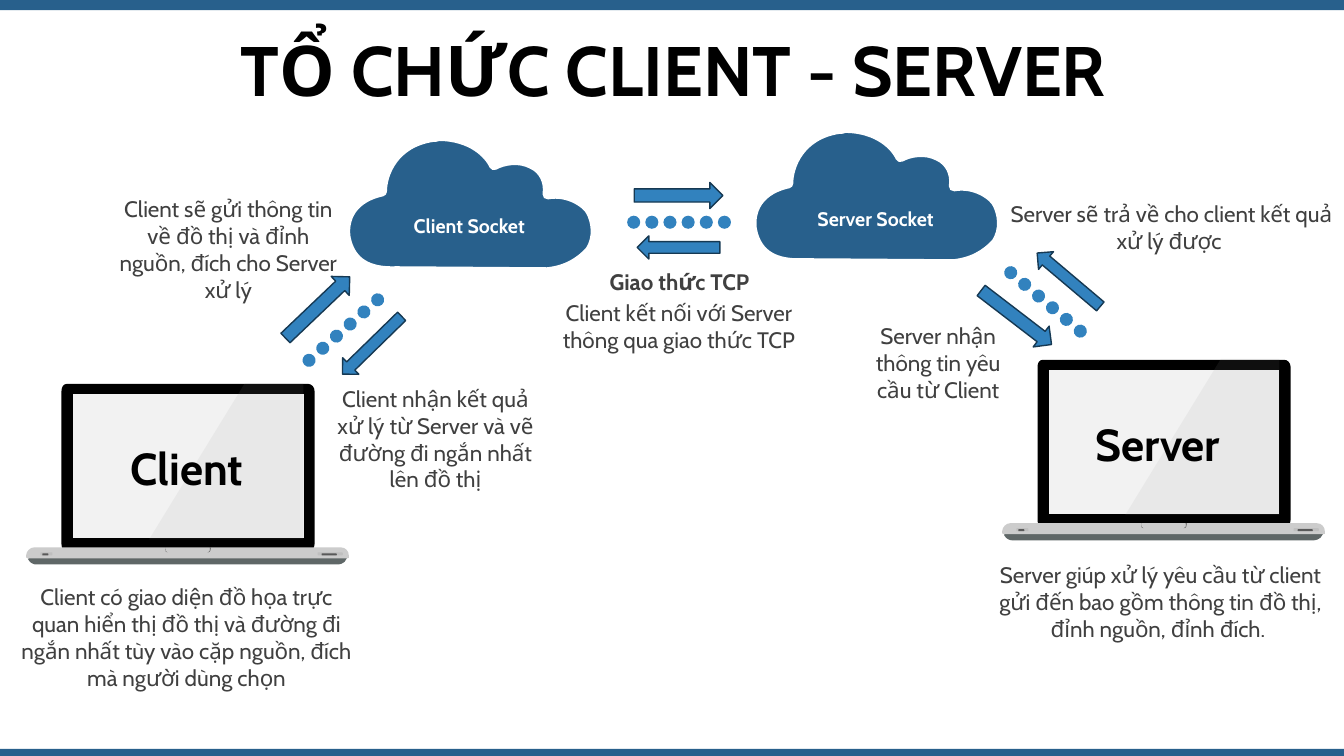
from lxml import etree
from pptx import Presentation
from pptx.dml.color import RGBColor
from pptx.enum.shapes import MSO_SHAPE as Preset
from pptx.enum.text import MSO_ANCHOR as Anchor, MSO_AUTO_SIZE as AutoSize, PP_ALIGN as Align
from pptx.oxml.ns import qn
from pptx.util import Inches, Pt

COLORS = {
    "band": "28608C", "accent": "3282BE", "edge": "163953",
    "white": "FFFFFF", "black": "000000", "text": "404040",
    "screen": "F2F2F2", "glare": "999999", "base": "CCCCCC", "underside": "5F6767",
    "notch": "4D4D4D", "port": "BFBFBF", "slot": "595959",
}
FONT = "Cabin"

presentation = Presentation()
presentation.slide_width = Inches(13.33)
presentation.slide_height = Inches(7.5)
slide = presentation.slides.add_slide(presentation.slide_layouts[6])


def add_part(form, place, fill, line=None, width=1):
    """Draw a preset at a box, or, if form is a list of contours, an outline shifted by place.

    A segment of two numbers is a straight line, one of six a cubic curve.
    """
    if isinstance(form, list):
        contours = [[[Inches(number + place[index % 2]) for index, number in enumerate(segment)]
                     for segment in contour] for contour in form]
        builder = slide.shapes.build_freeform(*contours[0][0])
        for index, contour in enumerate(contours):
            if index:
                builder.move_to(*contour[0])
            builder.add_line_segments([segment[-2:] for segment in contour[1:]], close=True)
        shape = builder.convert_to_shape()
        segments = [segment for contour in contours for segment in contour[1:]]
        straight_lines = list(shape._element.iter(qn("a:lnTo")))
        for straight, segment in zip(straight_lines, segments):
            if len(segment) == 6:
                curve = etree.Element(qn("a:cubicBezTo"))
                for x, y in zip(segment[::2], segment[1::2]):
                    etree.SubElement(curve, qn("a:pt"), x=str(x - shape.left),
                                     y=str(y - shape.top))
                straight.getparent().replace(straight, curve)
    else:
        shape = slide.shapes.add_shape(form, *map(Inches, place))
    shape.shadow.inherit = False
    shape.fill.solid()
    shape.fill.fore_color.rgb = RGBColor.from_string(COLORS[fill])
    if line:
        shape.line.color.rgb = RGBColor.from_string(COLORS[line])
        shape.line.width = Pt(width)
    else:
        shape.line.fill.background()
    return shape


def add_text(text, box, size=16, color="text", bold=False, anchor=Anchor.TOP):
    frame = slide.shapes.add_textbox(*map(Inches, box)).text_frame
    frame.word_wrap = True
    frame.auto_size = AutoSize.SHAPE_TO_FIT_TEXT
    frame.vertical_anchor = anchor
    paragraph = frame.paragraphs[0]
    paragraph.alignment = Align.CENTER
    run = paragraph.add_run()
    run.text = text
    run.font.name = FONT
    run.font.size = Pt(size)
    run.font.bold = bold
    run.font.color.rgb = RGBColor.from_string(COLORS[color])
    return frame


# Bands and title
add_part(Preset.RECTANGLE, (0, 0, 13.33, 0.1), "band")
add_part(Preset.RECTANGLE, (0, 7.43, 13.33, 0.07), "band")
title = add_text("TỔ CHỨC CLIENT - SERVER", (0.35, 0.36, 12.66, 0.79),
                 50, "black", True, Anchor.MIDDLE)
title.auto_size = AutoSize.NONE
title.paragraphs[0].line_spacing = 0.8
title.paragraphs[0].space_before = Pt(10)

# Laptops: the server one is the client one, shifted
underside = [[
    (3.35, 5.6), (3.35, 5.6, 3.42, 5.6, 3.44, 5.54), (3.44, 5.52, 3.43, 5.51, 3.42, 5.51),
    (0.31, 5.52), (0.29, 5.52, 0.28, 5.53, 0.28, 5.55), (0.3, 5.59, 0.34, 5.6, 0.36, 5.6),
]]
lid = [[
    (3.12, 5.4), (3.12, 5.44, 3.09, 5.47, 3.06, 5.47), (0.66, 5.47),
    (0.63, 5.47, 0.61, 5.44, 0.61, 5.4), (0.61, 3.88), (0.61, 3.84, 0.63, 3.81, 0.66, 3.81),
    (3.06, 3.81), (3.09, 3.81, 3.12, 3.84, 3.12, 3.88),
]]
screen = [[(0.72, 3.91), (3.01, 3.91), (3.01, 5.34), (0.72, 5.34)]]
base = [[
    (0.34, 5.43), (3.38, 5.43), (3.43, 5.43, 3.46, 5.47, 3.46, 5.51), (3.46, 5.53),
    (3.46, 5.53, 3.47, 5.54, 3.44, 5.54), (0.3, 5.54), (0.28, 5.54, 0.26, 5.54, 0.26, 5.53),
    (0.26, 5.51), (0.26, 5.47, 0.3, 5.43, 0.34, 5.43),
]]
notch = [
    [(2.08, 5.43), (2.09, 5.43), (2.09, 5.48, 2.07, 5.48, 2.06, 5.48),
     (2.07, 5.48, 2.09, 5.47, 2.08, 5.43)],
    [(1.64, 5.43), (1.64, 5.43, 1.63, 5.47, 1.66, 5.48), (1.63, 5.48, 1.64, 5.43, 1.64, 5.43)],
]
glare = [[(2.43, 3.8), (3.01, 3.8), (3.01, 5.35), (1.48, 5.35)]]
ports = [
    ((0.4, 5.48, 0.12, 0.03), "port"), ((0.42, 5.49, 0.06, 0.02), "slot"),
    ((3.15, 5.48, 0.25, 0.03), "port"), ((3.19, 5.49, 0.15, 0.02), "slot"),
]
for dx, dy in ((0, 0), (9.68, -0.24)):
    for outline, color in ((underside, "underside"), (lid, "black"), (screen, "screen"),
                           (base, "base"), (notch, "notch")):
        add_part(outline, (dx, dy), color)
    for (left, top, width, height), color in ports:
        port = add_part(Preset.ROUNDED_RECTANGLE, (left + dx, top + dy, width, height), color)
        port.adjustments[0] = 0.28
    reflection = add_part(glare, (dx, dy), "glare")
    tint = reflection._element.spPr.find(qn("a:solidFill"))[0]
    etree.SubElement(tint, qn("a:alpha"), val="10000")

# Socket clouds
cloud = [[
    (4.35, 1.35), (4.68, 1.35, 4.85, 1.53, 4.9, 1.64), (4.99, 1.59, 5.15, 1.56, 5.28, 1.63),
    (5.39, 1.68, 5.45, 1.8, 5.43, 1.93), (5.65, 1.89, 5.83, 2.03, 5.86, 2.1),
    (5.91, 2.19, 5.94, 2.36, 5.85, 2.49), (5.74, 2.61, 5.61, 2.68, 5.43, 2.7),
    (3.93, 2.69), (3.66, 2.7, 3.48, 2.61, 3.43, 2.36), (3.41, 2.24, 3.43, 1.98, 3.79, 1.9),
    (3.79, 1.73, 3.9, 1.42, 4.29, 1.36), (4.31, 1.36, 4.33, 1.36, 4.35, 1.35),
]]
for label, shift, box in (
    ("Client Socket", (0, 0), (3.9, 2.07, 1.51, 0.34)),
    ("Server Socket", (4.03, -0.08), (7.93, 1.88, 1.51, 0.57)),
):
    add_part(cloud, shift, "band", "white", 7)
    add_text(label, box, 14, "white", True, Anchor.MIDDLE)

# Arrows and dotted links
for left, top, width, height, rotation in (
    (2.71, 2.92, 0.88, 0.26, 316.4), (3.28, 3.31, 0.82, 0.23, 135.7),
    (6.29, 1.81, 0.88, 0.26, 0), (6.32, 2.34, 0.82, 0.23, 180),
    (9.64, 3.02, 0.88, 0.26, 37.5), (10.19, 2.66, 0.82, 0.23, 220.2),
):
    arrow = add_part(Preset.RIGHT_ARROW, (left, top, width, height), "accent", "edge")
    arrow.rotation = rotation

DOTS = 6
for (x1, y1), (x2, y2), rotation in (
    ((3, 3.51), (3.68, 2.91), 48),
    ((6.22, 2.14), (7.12, 2.14), 90),
    ((9.96, 2.64), (10.65, 3.22), 309.1),
):
    for index in range(DOTS):
        share = index / (DOTS - 1)
        dot = add_part(Preset.OVAL, (x1 + (x2 - x1) * share, y1 + (y2 - y1) * share, 0.13, 0.13),
                       "accent")
        dot.rotation = rotation

# Labels and explanations
for name, box in (("Client", (0.51, 4.32, 2.69, 0.64)), ("Server", (10.14, 4.08, 2.69, 0.64))):
    add_text(name, box, 32, "black", True, Anchor.MIDDLE)
add_text("Giao thức TCP", (5.35, 2.61, 2.78, 0.37), bold=True, anchor=Anchor.MIDDLE)
for text, box in (
    ("Client kết nối với Server thông qua giao thức TCP", (5.35, 2.92, 2.77, 0.64)),
    ("Client có giao diện đồ họa trực quan hiển thị đồ thị và đường đi ngắn nhất "
     "tùy vào cặp nguồn, đích mà người dùng chọn", (0.06, 5.74, 3.58, 1.18)),
    ("Server giúp xử lý yêu cầu từ client gửi đến bao gồm thông tin đồ thị, "
     "đỉnh nguồn, đỉnh đích. ", (9.8, 5.52, 3.42, 0.91)),
    ("Client sẽ gửi thông tin về đồ thị và đỉnh nguồn, đích cho Server xử lý",
     (1.02, 1.89, 2.49, 1.18)),
    ("Server sẽ trả về cho client kết quả xử lý được ", (9.91, 1.94, 3.42, 0.64)),
    ("Client nhận kết quả xử lý từ Server và vẽ đường đi ngắn nhất lên đồ thị",
     (3.19, 3.77, 2.26, 1.18)),
    ("Server nhận thông tin yêu cầu từ Client", (8.46, 3.15, 1.69, 0.91)),
):
    add_text(text, box)

presentation.save("out.pptx")
